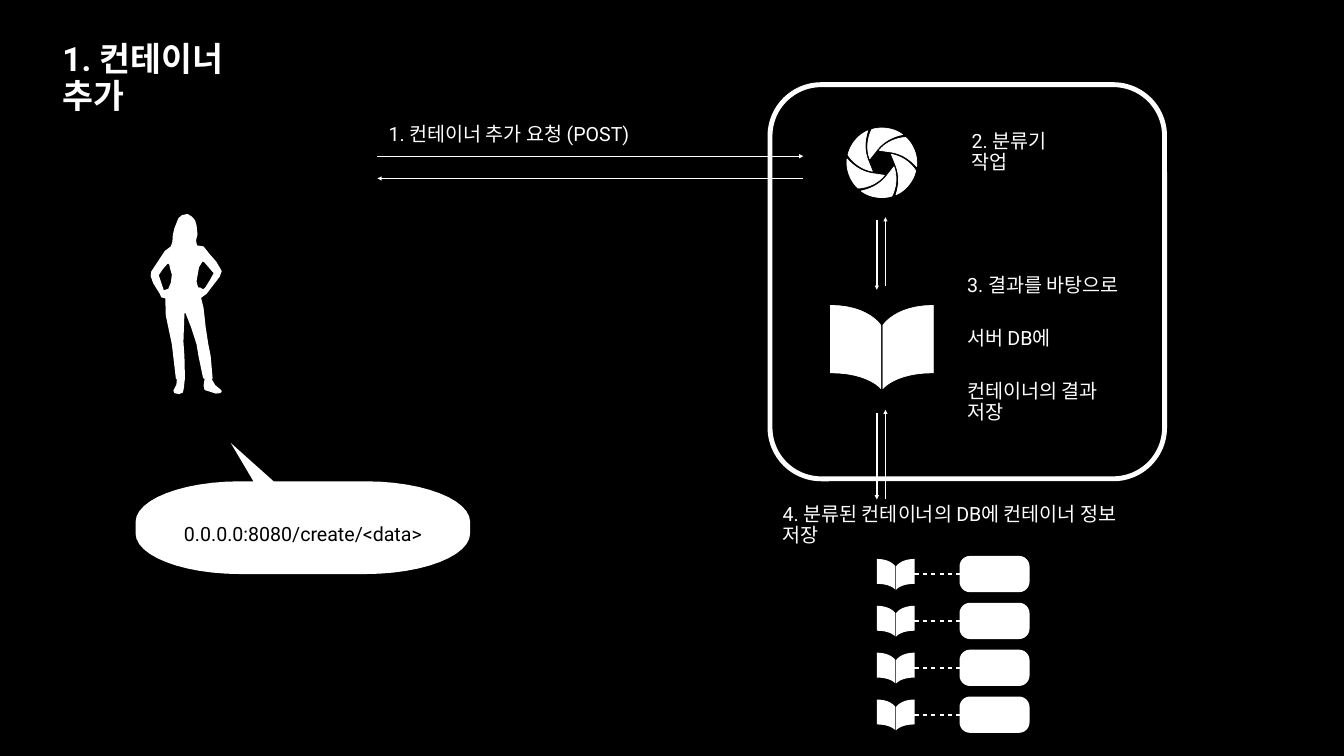
from dataclasses import dataclass
from math import cos, radians, sin

from lxml.etree import SubElement
from pptx import Presentation
from pptx.dml.color import RGBColor
from pptx.enum.dml import MSO_THEME_COLOR
from pptx.enum.shapes import MSO_CONNECTOR, MSO_SHAPE
from pptx.enum.text import MSO_ANCHOR, MSO_AUTO_SIZE, PP_ALIGN
from pptx.oxml.ns import qn
from pptx.util import Inches, Pt


@dataclass(frozen=True)
class Theme:
    ink: RGBColor = RGBColor(255, 255, 255)
    paper: RGBColor = RGBColor(0, 0, 0)
    font: str = "Roboto"
    title: int = 48
    body: int = 28
    columns: float = 26.67
    rows: float = 15


THEME = Theme()

BODY = [
    (3.7, 4.25), (3.61, 4.27), (3.54, 4.33), (3.46, 4.53), (3.43, 4.66), (3.42, 4.8),
    (3.39, 4.89), (3.27, 4.98), (3, 5.39), (2.99, 5.48), (3.04, 5.62), (3.17, 5.83),
    (3.2, 5.9), (3.28, 5.92), (3.29, 6.26), (3.41, 6.83), (3.49, 7.51), (3.51, 7.53),
    (3.5, 7.63), (3.44, 7.75), (3.46, 7.8), (3.55, 7.82), (3.63, 7.79), (3.65, 7.69),
    (3.66, 7.58), (3.67, 7.51), (3.66, 7.07), (3.64, 6.78), (3.66, 6.22), (3.68, 6.21),
    (3.79, 6.49), (3.9, 6.83), (3.94, 7.07), (4.03, 7.5), (4.06, 7.52), (4.04, 7.65),
    (4.06, 7.74), (4.13, 7.76), (4.19, 7.78), (4.28, 7.81), (4.37, 7.8), (4.4, 7.77),
    (4.39, 7.74), (4.27, 7.64), (4.2, 7.52), (4.22, 7.51), (4.18, 7.06), (4.13, 6.81),
    (4.08, 6.48), (4.04, 6.11), (3.99, 5.91), (4.1, 5.83), (4.36, 5.49), (4.4, 5.38),
    (4.35, 5.29), (4.29, 5.19), (4.15, 5.03), (4.04, 4.89), (3.91, 4.87), (3.89, 4.77),
    (3.92, 4.65), (3.9, 4.47), (3.87, 4.37), (3.81, 4.3), (3.73, 4.25)]
RIGHT_ARM = [(4.02, 5.19), (4.05, 5.2), (4.24, 5.42), (4.17, 5.55), (4.07, 5.71),
             (4.03, 5.74), (3.98, 5.71), (3.93, 5.7), (3.9, 5.58), (3.95, 5.3)]
LEFT_ARM = [(3.34, 5.23), (3.36, 5.25), (3.37, 5.31), (3.41, 5.45), (3.39, 5.61),
            (3.34, 5.73), (3.25, 5.76), (3.15, 5.46), (3.23, 5.34), (3.32, 5.24)]
BLADE = [(0, -0.69), (-0.07, -0.69, -0.14, -0.68, -0.2, -0.66),
         (-0.25, -0.56, -0.33, -0.34, -0.24, -0.08), (-0.13, -0.22),
         (0.04, -0.46, 0.27, -0.53, 0.41, -0.56), (0.3, -0.64, 0.16, -0.69, 0, -0.69)]
LEAF = [(0, 0), (0, 0.81), (0.37, 0.81, 0.49, 1, 0.49, 1), (0.49, 0.24),
        (0.49, 0.24, 0.37, 0, 0, 0)]
BUBBLE = [(4.58, 8.79), (5.03, 9.55), (4.77, 9.55), (3.62, 9.55, 2.69, 9.91, 2.69, 10.36),
          (2.69, 10.58), (2.69, 11.03, 3.62, 11.39, 4.77, 11.39), (7.25, 11.39),
          (8.4, 11.39, 9.33, 11.03, 9.33, 10.58), (9.33, 10.36),
          (9.33, 9.91, 8.4, 9.55, 7.25, 9.55), (5.43, 9.55)]


def cells(*values):
    return [Inches(value) for value in values]


def flatten(path, steps=12):
    points = []
    for segment in path:
        if len(segment) == 2:
            points.append(segment)
            continue
        curve = [points[-1], segment[:2], segment[2:4], segment[4:]]
        for step in range(1, steps + 1):
            t = step / steps
            weights = ((1 - t) ** 3, 3 * t * (1 - t) ** 2, 3 * t * t * (1 - t), t ** 3)
            points.append(tuple(sum(w * p[axis] for w, p in zip(weights, curve))
                                for axis in (0, 1)))
    return points


def paint(shape, filled=True, line=0):
    shape.shadow.inherit = False
    if filled:
        shape.fill.solid()
        shape.fill.fore_color.rgb = THEME.ink
    else:
        shape.fill.background()
    if line:
        shape.line.color.rgb = THEME.ink
        shape.line.width = Pt(line)
    else:
        shape.line.fill.background()
    return shape


def add_outline(page, contours, line=0):
    first, *others = [[tuple(cells(*point)) for point in contour] for contour in contours]
    builder = page.shapes.build_freeform(*first[0], scale=1.0)
    builder.add_line_segments(first[1:], close=True)
    for contour in others:
        builder.move_to(*contour[0])
        builder.add_line_segments(contour[1:], close=True)
    return paint(builder.convert_to_shape(), line=line)


def add_book(page, left, top, width, height, line=0):
    leaf = flatten(LEAF)
    sides = [leaf, [(1 - x, y) for x, y in leaf]]
    add_outline(page, [[(left + x * width, top + y * height) for x, y in side]
                       for side in sides], line)


def add_shutter(page, center_x, center_y):
    blades = []
    for angle in range(0, 360, 60):
        c, s = cos(radians(angle)), sin(radians(angle))
        blades.append([(center_x + x * c - y * s, center_y + x * s + y * c)
                       for x, y in flatten(BLADE)])
    add_outline(page, blades, line=1)


def add_round_box(page, left, top, width, height, corner, **style):
    box = page.shapes.add_shape(MSO_SHAPE.ROUNDED_RECTANGLE, *cells(left, top, width, height))
    box.adjustments[0] = corner
    return paint(box, **style)


def add_line(page, start, end, width=2, arrow=True):
    line = page.shapes.add_connector(MSO_CONNECTOR.STRAIGHT, *cells(*start, *end))
    line.line.color.rgb = THEME.ink
    line.line.width = Pt(width)
    stroke = line.line._get_or_add_ln()
    if arrow:
        SubElement(stroke, qn("a:tailEnd"), type="triangle")
    else:
        dashes = SubElement(stroke, qn("a:custDash"))
        SubElement(dashes, qn("a:ds"), d="200000", sp="200000")
    SubElement(line._element.spPr, qn("a:effectLst"))


def write(box, text, size=THEME.body, color=THEME.ink, bold=False, align=PP_ALIGN.LEFT,
          spacing=0.9, before=45, inset_top=0.06):
    frame = box.text_frame
    frame.word_wrap = True
    frame.auto_size = MSO_AUTO_SIZE.NONE
    frame.vertical_anchor = MSO_ANCHOR.MIDDLE
    frame.margin_left = frame.margin_right = frame.margin_bottom = Inches(0.06)
    frame.margin_top = Inches(inset_top)
    for index, words in enumerate(text.split("\n")):
        para = frame.add_paragraph() if index else frame.paragraphs[0]
        para.alignment = align
        para.line_spacing = spacing
        para.space_before = Pt(before)
        span = para.add_run()
        span.text = words
        span.font.name = THEME.font
        span.font.size = Pt(size)
        span.font.bold = bold
        span.font.color.rgb = color


def add_text(page, text, *place, **style):
    write(page.shapes.add_textbox(*cells(*place)), text, **style)


def add_title(page, text, *place):
    title = page.shapes.title
    title.left, title.top, title.width, title.height = cells(*place)
    write(title, text, size=THEME.title, bold=True)


def add_server(page):
    add_shutter(page, 17.5, 3.23)
    add_book(page, 16.48, 6.06, 2.04, 1.65, line=1)
    add_round_box(page, 15.28, 1.68, 7.83, 7.82, 0.13, filled=False, line=7)
    add_text(page, "2. 분류기 작업", 19.22, 2.76, 2.32, 0.55)
    add_text(page, "3. 결과를 바탕으로\n서버 DB에\n컨테이너의 결과 저장", 19.13, 5.61, 3.44, 2.66)


def add_databases(page, top=11.03, pitch=0.93, count=4):
    add_text(page, "4. 분류된 컨테이너의 DB에 컨테이너 정보 저장", 15.47, 10.15, 7.46, 0.55)
    for row in range(count):
        y = top + row * pitch
        add_round_box(page, 19.04, y, 1.39, 0.72, 0.29)
        add_book(page, 17.4, y + 0.06, 0.75, 0.61)
        add_line(page, (17.81, y + 0.36), (19.2, y + 0.36), width=3, arrow=False)


def main():
    deck = Presentation()
    deck.slide_width, deck.slide_height = cells(THEME.columns, THEME.rows)
    page = deck.slides.add_slide(deck.slide_layouts[5])
    page.background.fill.solid()
    page.background.fill.fore_color.rgb = THEME.paper
    add_outline(page, [BODY, RIGHT_ARM, LEFT_ARM])
    add_title(page, "1. 컨테이너 추가", 1.18, 1.14, 4.51, 0.86)
    add_text(page, "1. 컨테이너 추가 요청 (POST)", 7.65, 2.4, 5.26, 0.55)
    add_server(page)
    write(add_outline(page, [flatten(BUBBLE)]), "0.0.0.0:8080/create/<data>",
          color=THEME.paper, align=PP_ALIGN.CENTER, spacing=1.0, before=0, inset_top=1.04)
    add_databases(page)
    for start, end in [((7.49, 3.1), (15.94, 3.1)), ((15.94, 3.54), (7.49, 3.54)),
                       ((17.4, 4.36), (17.4, 5.75)), ((17.57, 5.67), (17.57, 4.31)),
                       ((17.4, 8.2), (17.4, 9.91)), ((17.57, 9.91), (17.57, 8.13))]:
        add_line(page, start, end)
    deck.save("out.pptx")


main()
